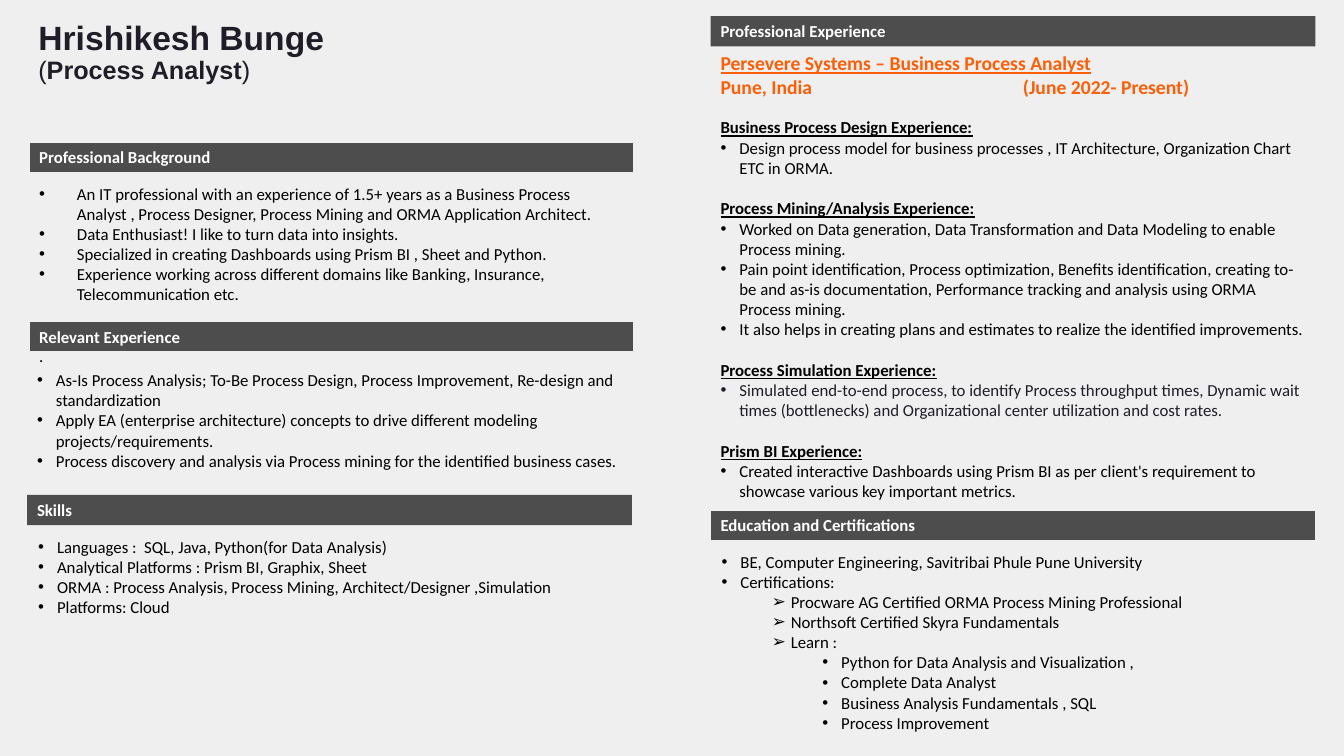
from dataclasses import dataclass

from lxml.etree import SubElement
from pptx import Presentation
from pptx.dml.color import RGBColor
from pptx.enum.shapes import MSO_SHAPE
from pptx.enum.text import MSO_ANCHOR, MSO_AUTO_SIZE, PP_ALIGN
from pptx.oxml.ns import qn
from pptx.util import Pt


@dataclass(frozen=True)
class Theme:
    background: str = "EEEFEE"
    bar: str = "4C4D4C"
    white: str = "FFFFFF"
    black: str = "000000"
    ink: str = "201D28"
    accent: str = "FD5F08"
    body_font: str = "Calibri"
    title_font: str = "Arial"
    body: float = 12
    employer: float = 14
    role: float = 18
    name: float = 24


THEME = Theme()
COLUMN_WIDTH = 432
BAR_HEIGHT = 21.6
HANGING = 13.5
LINE = 14.65

BACKGROUND = [
    "An IT professional with an experience of 1.5+ years as a Business Process Analyst , "
    "Process Designer, Process Mining and ORMA Application Architect.",
    "Data Enthusiast! I like to turn data into insights.",
    "Specialized in creating Dashboards using Prism BI , Sheet and Python.",
    "Experience working across different domains like Banking, Insurance, Telecommunication etc.",
]
RELEVANT = [
    "As-Is Process Analysis; To-Be Process Design, Process Improvement, Re-design and standardization",
    "Apply EA (enterprise architecture) concepts to drive different modeling projects/requirements.",
    "Process discovery and analysis via Process mining for the identified business cases.",
]
SKILLS = [
    "Languages :  SQL, Java, Python(for Data Analysis)",
    "Analytical Platforms : Prism BI, Graphix, Sheet",
    "ORMA : Process Analysis, Process Mining, Architect/Designer ,Simulation",
    "Platforms: Cloud",
]
EXPERIENCE = [
    ("Business Process Design Experience:", 13.4, THEME.black, [
        "Design process model for business processes , IT Architecture, Organization Chart ETC in ORMA.",
    ]),
    ("Process Mining/Analysis Experience:", LINE, THEME.black, [
        "Worked on Data generation, Data Transformation and Data Modeling to enable Process mining.",
        "Pain point identification, Process optimization, Benefits identification, creating to-be and "
        "as-is documentation, Performance tracking and analysis using ORMA Process mining.",
        "It also helps in creating plans and estimates to realize the identified improvements.",
    ]),
    ("Process Simulation Experience:", LINE, THEME.ink, [
        "Simulated end-to-end process, to identify Process throughput times, Dynamic wait times "
        "(bottlenecks) and Organizational center utilization and cost rates.",
    ]),
    ("Prism BI Experience:", LINE, THEME.black, [
        "Created interactive Dashboards using Prism BI as per client's requirement to showcase "
        "various key important metrics.",
    ]),
]
EDUCATION = [
    (0, "BE, Computer Engineering, Savitribai Phule Pune University"),
    (0, "Certifications:"),
    (1, "Procware AG Certified ORMA Process Mining Professional"),
    (1, "Northsoft Certified Skyra Fundamentals"),
    (1, "Learn :"),
    (2, "Python for Data Analysis and Visualization ,"),
    (2, "Complete Data Analyst"),
    (2, "Business Analysis Fundamentals , SQL"),
    (2, "Process Improvement"),
]


def place(sp, left, top, width, height):
    sp.left, sp.top, sp.width, sp.height = Pt(left), Pt(top), Pt(width), Pt(height)


def add_run(p, text, size=THEME.body, color=THEME.black, bold=False,
            underline=False, font=THEME.body_font):
    r = p.add_run()
    r.text = text
    r.font.name = font
    r.font.size = Pt(size)
    r.font.color.rgb = RGBColor.from_string(color)
    r.font.bold = bold
    r.font.underline = underline


def add_paragraph(tf, space_before=0):
    p = tf.paragraphs[0]
    if p.runs:
        p = tf.add_paragraph()
    p.alignment = PP_ALIGN.LEFT
    p.space_before = Pt(space_before)
    return p


def add_bullet(tf, text, level=0, hanging=HANGING, color=THEME.black):
    p = add_paragraph(tf)
    p.level = level
    pPr = p._p.get_or_add_pPr()
    pPr.set("marL", str(Pt(hanging + 36 * level)))
    pPr.set("indent", str(-Pt(hanging)))
    SubElement(pPr, qn("a:buFont")).set("typeface", THEME.title_font)
    SubElement(pPr, qn("a:buChar")).set("char", "➢" if level == 1 else "•")
    add_run(p, text, color=color)


def add_tab_stop(p, position):
    tabs = SubElement(p._p.get_or_add_pPr(), qn("a:tabLst"))
    tab = SubElement(tabs, qn("a:tab"))
    tab.set("pos", str(Pt(position)))
    tab.set("algn", "l")


def add_text_box(s, left, top, height):
    sp = s.shapes.add_textbox(Pt(left), Pt(top), Pt(COLUMN_WIDTH), Pt(height))
    tf = sp.text_frame
    tf.word_wrap = True
    return tf


def add_bar(s, text, left, top, outlined=False):
    sp = s.shapes.add_shape(MSO_SHAPE.RECTANGLE, Pt(left), Pt(top),
                            Pt(COLUMN_WIDTH), Pt(BAR_HEIGHT))
    sp.shadow.inherit = False
    sp.fill.solid()
    sp.fill.fore_color.rgb = RGBColor.from_string(THEME.bar)
    if outlined:
        sp.line.color.rgb = RGBColor.from_string(THEME.background)
        sp.line.width = Pt(0.75)
    else:
        sp.line.fill.background()
    tf = sp.text_frame
    tf.vertical_anchor = MSO_ANCHOR.MIDDLE
    add_run(add_paragraph(tf), text, color=THEME.white, bold=True)


def add_title(s):
    sp = s.shapes.title
    place(sp, 20.2, 11.5, 321.8, 111.6)
    tf = sp.text_frame
    tf.word_wrap = True
    tf.auto_size = MSO_AUTO_SIZE.NONE
    tf.vertical_anchor = MSO_ANCHOR.TOP
    lines = [
        (THEME.name, [("Hrishikesh Bunge", True)]),
        (THEME.role, [("(", False), ("Process Analyst", True), (")", False)]),
    ]
    for size, runs in lines:
        p = add_paragraph(tf)
        p.line_spacing = 0.9
        for text, bold in runs:
            add_run(p, text, size, THEME.ink, bold, font=THEME.title_font)


def add_bullet_box(s, items, left, top, height, hanging=HANGING):
    tf = add_text_box(s, left, top, height)
    for level, text in items:
        add_bullet(tf, text, level, hanging)
    return tf


def add_experience(s):
    tf = add_text_box(s, 507.6, 33.1, 358.6)
    add_run(add_paragraph(tf), "Persevere Systems – Business Process Analyst",
            THEME.employer, THEME.accent, True, True)
    p = add_paragraph(tf)
    add_tab_stop(p, 216)
    add_run(p, "Pune, India\t(June 2022- Present)", THEME.employer, THEME.accent, True)
    for heading, gap, color, items in EXPERIENCE:
        add_run(add_paragraph(tf, gap), heading, bold=True, underline=True)
        for text in items:
            add_bullet(tf, text, color=color)


def main():
    prs = Presentation()
    prs.slide_width, prs.slide_height = Pt(960), Pt(540)
    s = prs.slides.add_slide(prs.slide_layouts[5])
    s.background.fill.solid()
    s.background.fill.fore_color.rgb = RGBColor.from_string(THEME.background)

    add_title(s)
    add_bar(s, "Professional Background", 20.9, 101.5, True)
    tf = add_bullet_box(s, [(0, text) for text in BACKGROUND], 20.9, 127.4, 138.2, 27)
    add_run(add_paragraph(tf, 2 * LINE), ".")
    add_bar(s, "Relevant Experience", 20.9, 229.7, True)
    add_bullet_box(s, [(0, text) for text in RELEVANT], 19.4, 260.6, 79.9)
    add_bar(s, "Skills", 19.4, 353.5)
    add_bullet_box(s, [(0, text) for text in SKILLS], 20.2, 379.7, 65.5)

    add_bar(s, "Professional Experience", 507.6, 11.5)
    add_experience(s)
    add_bar(s, "Education and Certifications", 507.6, 364.3, True)
    add_bullet_box(s, EDUCATION, 508.3, 390.2, 145)
    prs.save("out.pptx")


if __name__ == "__main__":
    main()
